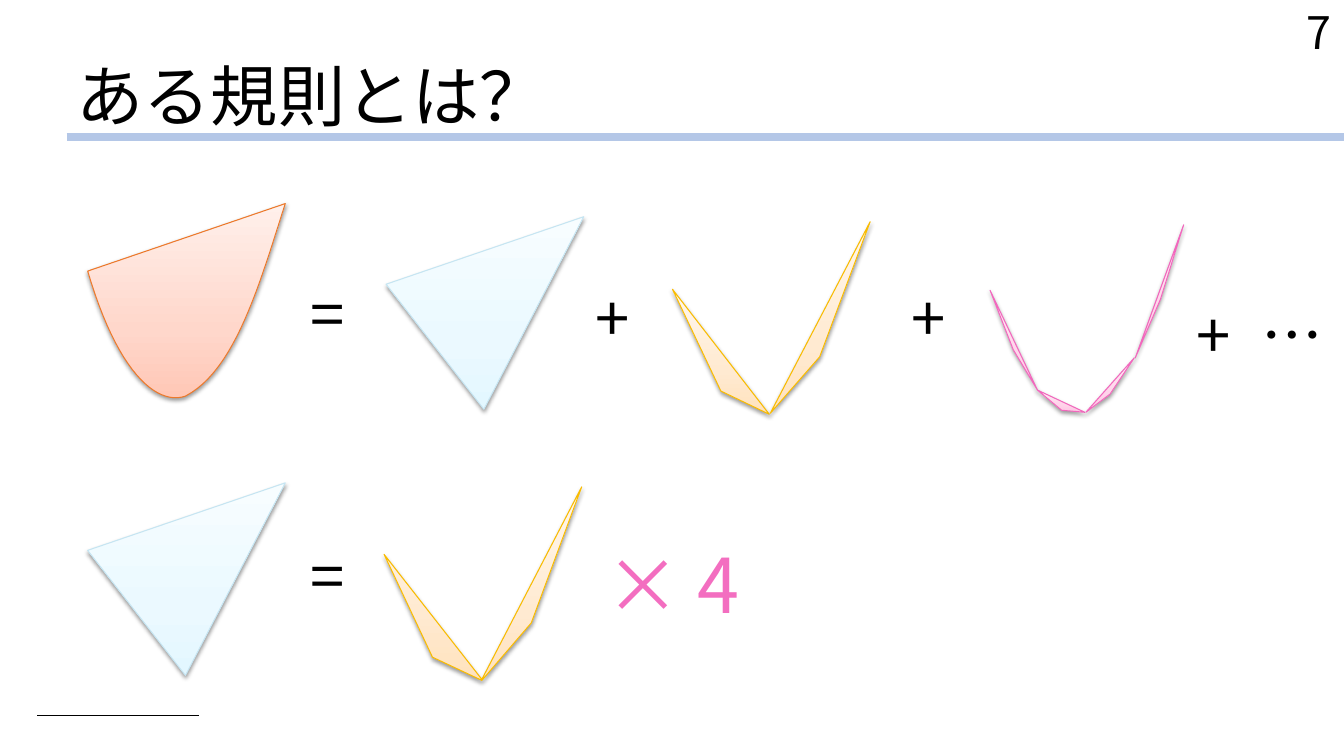
from pptx import Presentation
from pptx.dml.color import RGBColor
from pptx.enum.shapes import MSO_CONNECTOR
from pptx.enum.text import MSO_ANCHOR, MSO_AUTO_SIZE, PP_ALIGN
from pptx.oxml import parse_xml
from pptx.oxml.ns import nsdecls, qn
from pptx.util import Inches, Pt
from lxml import etree

COLORS = {"text": "000000", "rule": "B4C7E7", "factor": "F36EC0"}
# Outline colour, then gradient stops from bottom to top
TINTS = {
    "orange": ("EC792B", "FFC7B6", "FFD7CB", "FFF0EB"),
    "blue": ("C6E5F2", "E3F7FF", "EBF9FF", "F7FDFF"),
    "yellow": ("F9BC00", "FFE2BD", "FFEAD1", "FFF7EE"),
    "pink": ("F168BD", "FFC2E3", "FFD4EA", "FFEEF7"),
}


def curve(p0, p1, p2, p3, steps=24):
    """Points along a cubic Bezier curve."""
    points = []
    for i in range(steps + 1):
        t = i / steps
        u = 1 - t
        weights = (u**3, 3 * u * u * t, 3 * u * t * t, t**3)
        points.append(tuple(sum(w * p[axis] for w, p in zip(weights, (p0, p1, p2, p3)))
                            for axis in (0, 1)))
    return points


class SlideBuilder:
    title_font = "Noto Sans CJK KR"
    body_font = "Noto Sans CJK JP"

    def __init__(self, s):
        self.s = s

    def rule(self, x1, x2, y, color, width):
        line = self.s.shapes.add_connector(
            MSO_CONNECTOR.STRAIGHT, Inches(x1), Inches(y), Inches(x2), Inches(y))
        line.line.color.rgb = RGBColor.from_string(COLORS[color])
        line.line.width = Pt(width)
        etree.SubElement(line._element.spPr, qn("a:effectLst"))

    def text(self, text, box, size, font=body_font, color="text",
             align=PP_ALIGN.CENTER, anchor=MSO_ANCHOR.TOP, grow=True):
        tf = self.s.shapes.add_textbox(*map(Inches, box)).text_frame
        tf.word_wrap = True
        tf.vertical_anchor = anchor
        tf.auto_size = MSO_AUTO_SIZE.SHAPE_TO_FIT_TEXT if grow else MSO_AUTO_SIZE.NONE
        p = tf.paragraphs[0]
        p.text = text
        p.alignment = align
        p.font.size = Pt(size)
        p.font.name = font
        p.font.color.rgb = RGBColor.from_string(COLORS[color])
        props = p._p.pPr.find(qn("a:defRPr"))
        etree.SubElement(props, qn("a:ea")).set("typeface", font)

    def symbol(self, text, x, y):
        self.text(text, (x, y, 1.16, 0.84), 44)

    def polygon(self, points, tint):
        start, *rest = [(Inches(x), Inches(y)) for x, y in points]
        builder = self.s.shapes.build_freeform(*start)
        builder.add_line_segments(rest, close=True)
        sp = builder.convert_to_shape()
        outline, *stops = TINTS[tint]
        sp.line.color.rgb = RGBColor.from_string(outline)
        sp.line.width = Pt(0.75)
        # Three-stop gradient
        gs = "".join(f'<a:gs pos="{pos}"><a:srgbClr val="{c}"/></a:gs>'
                     for pos, c in zip((0, 35000, 100000), stops))
        sp._element.spPr.find(qn("a:ln")).addprevious(parse_xml(
            f'<a:gradFill {nsdecls("a")} rotWithShape="1"><a:gsLst>{gs}</a:gsLst>'
            '<a:lin ang="16200000" scaled="0"/></a:gradFill>'))
        # Soft shadow below
        sp.shadow.inherit = False
        sp._element.spPr.find(qn("a:effectLst")).append(parse_xml(
            f'<a:outerShdw {nsdecls("a")} blurRad="{Pt(3.1)}" dist="{Pt(1.6)}" '
            'dir="5400000" rotWithShape="0"><a:srgbClr val="000000">'
            '<a:alpha val="38000"/></a:srgbClr></a:outerShdw>'))

    def big_triangle(self, x, y):
        self.polygon([(x + 0.97, y + 1.91), (x, y + 0.67), (x + 1.96, y)], "blue")


def main():
    prs = Presentation()
    prs.slide_width, prs.slide_height = Inches(13.33), Inches(7.5)
    b = SlideBuilder(prs.slides.add_slide(prs.slide_layouts[6]))

    # Rules, title and page number
    b.rule(0.66, 13.33, 1.36, "rule", 6)
    b.rule(0.37, 1.97, 7.1, "text", 1)
    b.text("ある規則とは？", (0.66, 0.5, 12.67, 0.89), 48, b.title_font,
           align=PP_ALIGN.LEFT, anchor=MSO_ANCHOR.BOTTOM, grow=False)
    b.text("7", (11.9, 0, 1.4, 0.66), 32, b.title_font,
           align=PP_ALIGN.RIGHT, grow=False)

    # Parabola segment
    b.polygon(curve((1.84, 3.93), (1.55, 4.03), (1.16, 3.68), (0.87, 2.69))
              + curve((2.83, 2.02), (2.58, 2.8), (2.34, 3.67), (1.84, 3.93)), "orange")

    # First triangle, in both rows
    b.big_triangle(3.83, 2.15)
    b.big_triangle(0.87, 4.79)

    # Second generation: two triangles, then the pair as one outline
    b.polygon([(7.63, 4.11), (6.67, 2.87), (7.15, 3.88)], "yellow")
    b.polygon([(8.63, 2.2), (7.64, 4.1), (8.13, 3.54)], "yellow")
    b.polygon([(5.77, 4.83), (5.27, 6.18), (4.78, 6.75), (4.29, 6.52),
               (3.81, 5.5), (4.78, 6.74)], "yellow")

    # Third generation: four slivers
    for sliver in (
        [(10.29, 3.87), (9.82, 2.88), (10.05, 3.47)],
        [(11.26, 3.55), (11.74, 2.23), (11.51, 2.97)],
        [(10.53, 4.07), (10.29, 3.87), (10.76, 4.09)],
        [(11.01, 3.91), (11.25, 3.55), (10.77, 4.09)],
    ):
        b.polygon(sliver, "pink")

    # Operators
    for text, x, y in (("=", 2.67, 2.69), ("+", 5.5, 2.73), ("+", 8.63, 2.73),
                       ("+", 11.46, 2.9), ("…", 12.24, 2.9), ("=", 2.67, 5.29)):
        b.symbol(text, x, y)
    b.text("× 4", (4.98, 5.29, 3.38, 1.01), 54, color="factor")

    prs.save("out.pptx")


if __name__ == "__main__":
    main()
